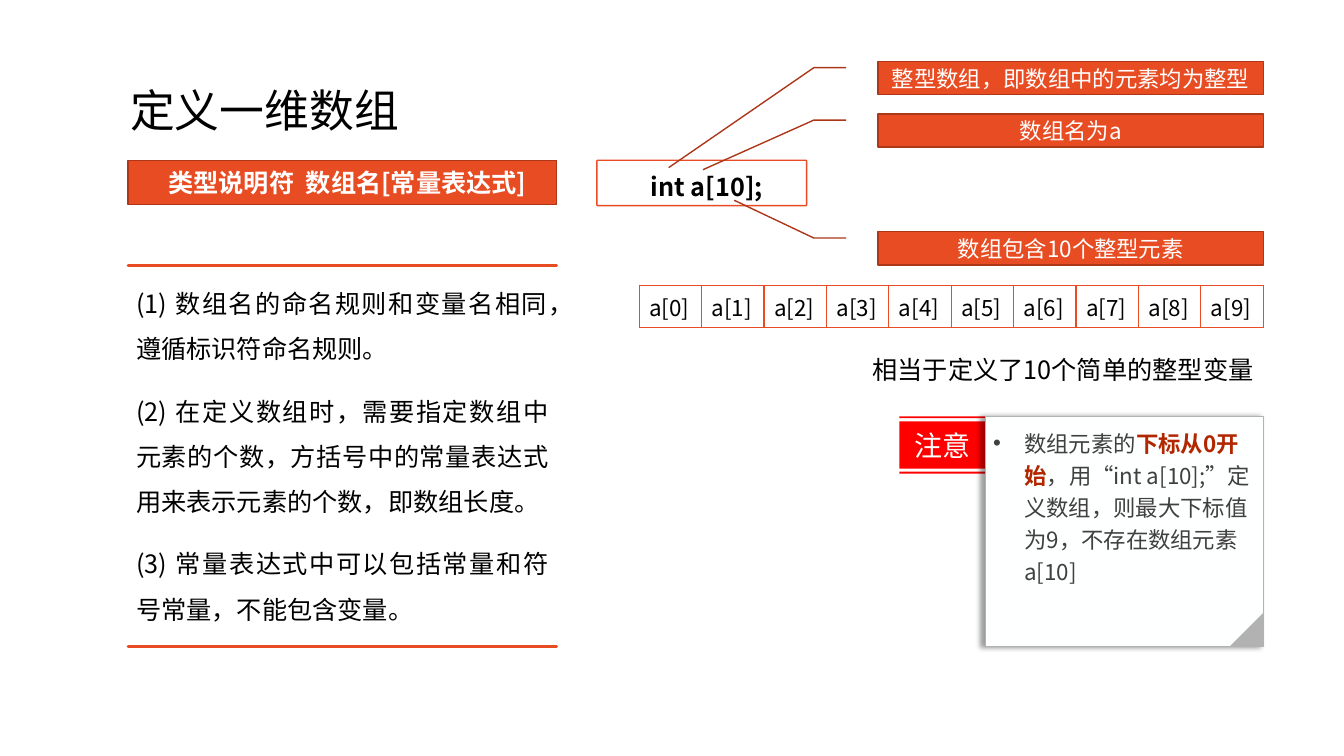
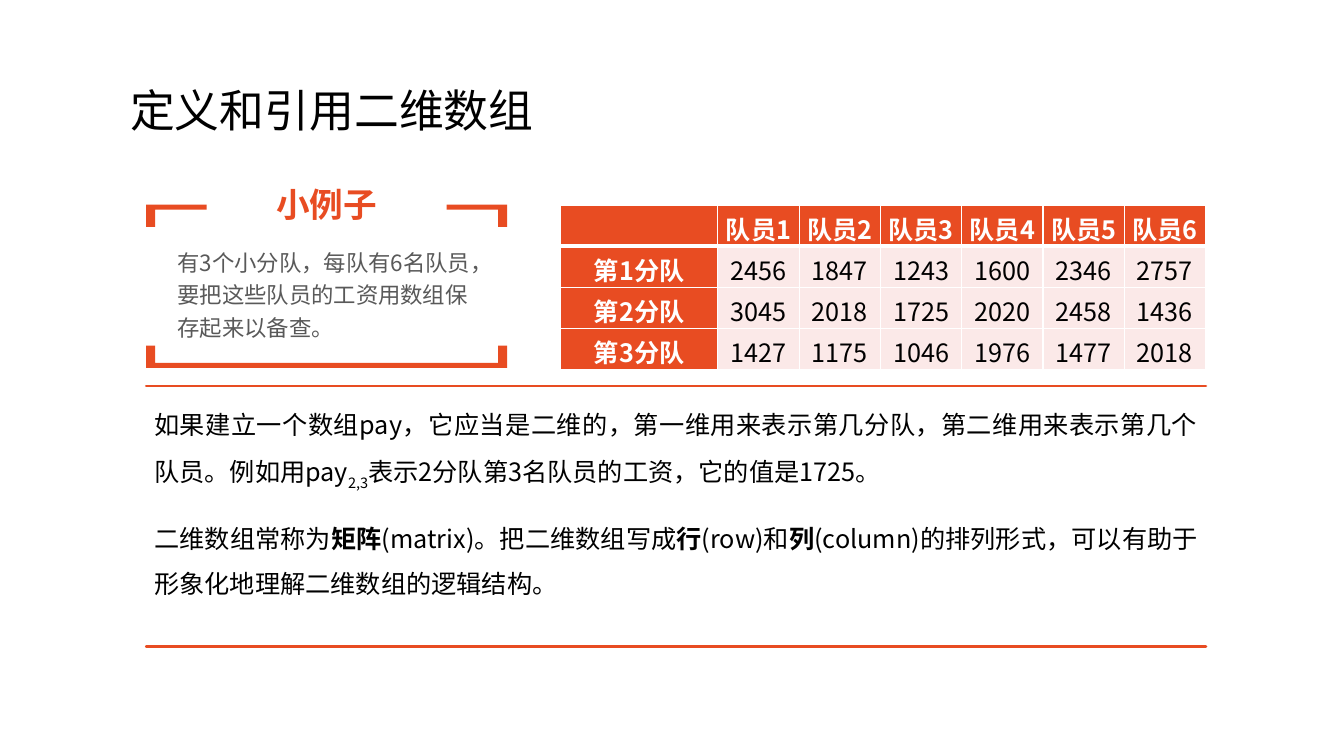
import lxml.etree
import pptx
import pptx.dml.color
import pptx.enum.shapes
import pptx.enum.text
import pptx.util
from pptx.oxml.ns import qn

Inches = pptx.util.Inches
Pt = pptx.util.Pt
SHAPE = pptx.enum.shapes.MSO_SHAPE
ALIGN = pptx.enum.text.PP_ALIGN
ANCHOR = pptx.enum.text.MSO_ANCHOR

# Shared look
FONT = "Noto Sans CJK SC"
ORANGE, RUST, PINK = "E84C22", "AC3819", "FBE9E8"
BLACK, WHITE, PAPER, GREY = "000000", "FFFFFF", "FEFFFF", "B2B2B2"
TITLE_BOX = (1.19, 0.4, 6.48, 1.45)
BOTTOM = 6.41
INSETS = (0.1, 0.05, 0.1, 0.05)
BODY_INSETS = (0.08,) * 4


def rgb(color):
    return pptx.dml.color.RGBColor.from_string(color)


def lengths(values):
    return [Inches(v) for v in values]


def child(parent, tag, **attrs):
    return lxml.etree.SubElement(parent, qn(tag), attrs)


# Text
def add_run(p, text, size, color, bold=False, baseline=None):
    r = p.add_run()
    r.text = text
    r.font.size = Pt(size)
    r.font.bold = bold
    r.font.color.rgb = rgb(color)
    r.font.name = FONT
    rPr = r._r.get_or_add_rPr()
    child(rPr, "a:ea", typeface=FONT)
    if baseline:
        rPr.set("baseline", str(baseline * 1000))


def write(tf, paragraphs, size, color, bold=False, align=ALIGN.LEFT, spacing=None,
          before=0, after=0, anchor=ANCHOR.TOP, insets=INSETS):
    """Each paragraph is a list of (text, changed run formats)."""
    tf.word_wrap = True
    tf.vertical_anchor = anchor
    tf.margin_left, tf.margin_top, tf.margin_right, tf.margin_bottom = lengths(insets)
    for i, runs in enumerate(paragraphs):
        p = tf.paragraphs[0] if i == 0 else tf.add_paragraph()
        p.alignment = align
        p.line_spacing = spacing
        p.space_before, p.space_after = Pt(before), Pt(after)
        for text, changes in runs:
            add_run(p, text, **{"size": size, "color": color, "bold": bold, **changes})


def plain(*texts):
    return [[(text, {})] for text in texts]


def add_title(s, text):
    sp = s.shapes.title
    sp.left, sp.top, sp.width, sp.height = lengths(TITLE_BOX)
    sp.text_frame.auto_size = pptx.enum.text.MSO_AUTO_SIZE.NONE
    write(sp.text_frame, plain(text), 32, BLACK, spacing=0.9, anchor=ANCHOR.MIDDLE)


# Shapes
def paint(sp, fill=None, line=None, width=1):
    sp.shadow.inherit = False
    if fill:
        sp.fill.solid()
        sp.fill.fore_color.rgb = rgb(fill)
    else:
        sp.fill.background()
    if line:
        sp.line.color.rgb = rgb(line)
        sp.line.width = Pt(width)
    else:
        sp.line.fill.background()
    return sp


def add_box(shapes, kind, box, fill, line=None, width=1, adjust=()):
    sp = shapes.add_shape(kind, *lengths(box))
    for i, value in enumerate(adjust):
        sp.adjustments[i] = value
    return paint(sp, fill, line, width)


def add_outline(shapes, contours):
    first, *others = [[tuple(lengths(pt)) for pt in c] for c in contours]
    builder = shapes.build_freeform(*first[0], scale=1.0)
    builder.add_line_segments(first[1:], close=True)
    for c in others:
        builder.move_to(*c[0])
        builder.add_line_segments(c[1:], close=True)
    return builder.convert_to_shape()


def add_ruled_text(s, box, paragraphs):
    x, y, w, h = box
    rules = [[(x, v), (x + w, v), (x, v)] for v in (y + h, y)]
    sp = paint(add_outline(s.shapes, rules), None, ORANGE, 2)
    write(sp.text_frame, paragraphs, 18, BLACK, align=ALIGN.JUSTIFY, spacing=1.5,
          before=6, after=6, insets=BODY_INSETS)


# Tables
def set_borders(cell, color, top=1, bottom=1):
    tcPr = cell._tc.get_or_add_tcPr()
    for i, (side, width) in enumerate([("L", 1), ("R", 1), ("T", top), ("B", bottom)]):
        ln = child(tcPr, "a:ln" + side, w=str(Pt(width)))
        child(child(ln, "a:solidFill"), "a:srgbClr", val=color)
        tcPr.insert(i, ln)


def add_grid(s, box, cols, rows):
    tbl = s.shapes.add_table(len(rows), len(cols), *lengths(box)).table
    tbl.first_row = tbl.horz_banding = False
    for column, width in zip(tbl.columns, cols):
        column.width = Inches(width)
    for row, height in zip(tbl.rows, rows):
        row.height = Inches(height)
    return tbl


def fill_cell(cell, text, size, color, bold=False, align=ALIGN.LEFT, side=0.1):
    cell.margin_left = cell.margin_right = Inches(side)
    cell.margin_top = cell.margin_bottom = Inches(0.05)
    p = cell.text_frame.paragraphs[0]
    p.alignment = align
    if text:
        add_run(p, text, size, color, bold)


# Slide 1 parts
def add_declaration(s, box, callout_x, callouts):
    sp = add_box(s.shapes, SHAPE.ROUNDED_RECTANGLE, box, WHITE, ORANGE, adjust=[0.018])
    write(sp.text_frame, plain("int a[10];"), 18, BLACK, True, ALIGN.CENTER, 1.2,
          insets=(0.2, 0.05, 0.1, 0.05))
    for y, text, tip_y, tip_x in callouts:
        sp = add_box(s.shapes, SHAPE.LINE_CALLOUT_2, (callout_x, y, 3.82, 0.33), ORANGE, RUST,
                     adjust=[0.188, -0.083, 0.188, -0.167, tip_y, tip_x])
        write(sp.text_frame, plain(text), 16, WHITE, align=ALIGN.CENTER, anchor=ANCHOR.MIDDLE)


def add_elements(s, box, count):
    tbl = add_grid(s, box, [box[2] / count] * count, [box[3]])
    for i in range(count):
        cell = tbl.cell(0, i)
        fill_cell(cell, f"a[{i}]", 16, BLACK)
        cell.fill.background()
        set_borders(cell, ORANGE)


def add_note(s, box, label, runs):
    x, y, w, h = box
    tab, fold = 0.85, 0.33
    shapes = s.shapes.add_group_shape().shapes
    # Red label with thin bands
    bands = [[(x, y + a), (x + tab, y + a), (x + tab, y + b), (x, y + b)]
             for a, b in [(0.55, 0.57), (0.05, 0.52), (0, 0.02)]]
    sp = paint(add_outline(shapes, bands), "FF0000")
    write(sp.text_frame, plain(label), 20, PAPER, align=ALIGN.CENTER, anchor=ANCHOR.MIDDLE)
    # Paper with shadow
    sp = add_box(shapes, SHAPE.RECTANGLE, (x + tab, y, w - tab, h), PAPER, GREY, 0.75)
    shadow = child(sp._element.spPr.find(qn("a:effectLst")), "a:outerShdw",
                   blurRad=str(Pt(4)), dist=str(Pt(3)), dir="10800000", rotWithShape="0")
    child(child(shadow, "a:srgbClr", val=BLACK), "a:alpha", val="40000")
    write(sp.text_frame, [runs], 16, "404040", spacing=1.2, after=6, insets=BODY_INSETS)
    pPr = sp.text_frame.paragraphs[0]._p.get_or_add_pPr()
    pPr.set("marL", str(Inches(0.31)))
    pPr.set("indent", str(-Inches(0.31)))
    child(pPr, "a:buFont", typeface="Arial")
    child(pPr, "a:buChar", char="•")
    # Folded corner
    corner = (x + w - fold, y + h - fold, fold, fold)
    add_box(shapes, SHAPE.RIGHT_TRIANGLE, corner, GREY).rotation = 270


def build_one_dimensional(s):
    left, right = 1.27, 12.53
    add_title(s, "定义一维数组")
    sp = add_box(s.shapes, SHAPE.RECTANGLE, (left, 1.59, 4.25, 0.44), ORANGE, RUST)
    write(sp.text_frame, plain("类型说明符  数组名[常量表达式]"), 18, WHITE, True, ALIGN.CENTER,
          anchor=ANCHOR.MIDDLE, insets=(0.2, 0.05, 0.1, 0.05))
    add_ruled_text(s, (left, 2.63, 4.25, BOTTOM - 2.63), plain(
        "(1) 数组名的命名规则和变量名相同，遵循标识符命名规则。",
        "(2) 在定义数组时，需要指定数组中元素的个数，方括号中的常量表达式用来表示元素的个数，即数组长度。",
        "(3) 常量表达式中可以包括常量和符号常量，不能包含变量。"))
    add_declaration(s, (5.92, 1.59, 2.08, 0.45), 8.71, [
        (0.61, "整型数组，即数组中的元素均为整型", 3.194, -0.544),
        (1.13, "数组名为a", 1.679, -0.455),
        (2.3, "数组包含10个整型元素", -0.949, -0.374)])
    add_elements(s, (6.34, 2.83, right - 6.34, 0.41), 10)
    sp = s.shapes.add_textbox(*lengths((right - 4, 3.47, 4, 0.4)))
    write(sp.text_frame, plain("相当于定义了10个简单的整型变量"), 18, BLACK, align=ALIGN.RIGHT)
    add_note(s, (8.92, 4.13, right - 8.92, BOTTOM - 4.13), "注意", [
        ("数组元素的", {}),
        ("下标从0开始", {"color": "B22600", "bold": True}),
        ("，用“int a[10];”定义数组，则最大下标值为9，不存在数组元素a[10]", {})])


# Slide 2 parts
def add_example(s, box, heading, text):
    x, y, w, h = box
    r, b = x + w, y + h
    thick, thin, leg, arm = 0.09, 0.05, 0.22, 0.6
    bottom = [(x, b - leg), (x + thick, b - leg), (x + thick, b - thin), (r - thick, b - thin),
              (r - thick, b - leg), (r, b - leg), (r, b), (x, b)]
    corners = [[(edge + d * dx, y + dy) for dx, dy in
                [(0, 0), (arm, 0), (arm, thin), (thick, thin), (thick, leg), (0, leg)]]
               for edge, d in [(r, -1), (x, 1)]]
    sp = paint(add_outline(s.shapes, [bottom] + corners), ORANGE)
    write(sp.text_frame, plain(text), 16, "595959", spacing=1.2, insets=(0.31, 0.39, 0.31, 0.39))
    sp = s.shapes.add_textbox(*lengths((x + 1, y - 0.29, w - 2, 0.57)))
    write(sp.text_frame, plain(heading), 24, ORANGE, True, ALIGN.CENTER,
          anchor=ANCHOR.MIDDLE, insets=(0,) * 4)


def add_pay_table(s, box, pay):
    members = len(pay[0])
    values = [[""] + [f"队员{i + 1}" for i in range(members)]]
    values += [[f"第{i + 1}分队"] + [str(v) for v in row] for i, row in enumerate(pay)]
    tbl = add_grid(s, box, [1.56] + [(box[2] - 1.56) / members] * members,
                   [0.39] + [0.41] * len(pay))
    for i, row in enumerate(values):
        for j, text in enumerate(row):
            cell = tbl.cell(i, j)
            head = i == 0 or j == 0
            fill_cell(cell, text, 18, WHITE if head else BLACK, head, ALIGN.CENTER, 0.04)
            cell.fill.solid()
            cell.fill.fore_color.rgb = rgb(ORANGE if head else PINK)
            set_borders(cell, WHITE, 3 if i == 1 else 1, 3 if i == 0 else 1)


def build_two_dimensional(s):
    left, right = 1.45, 11.96
    bold = {"bold": True}
    add_title(s, "定义和引用二维数组")
    add_example(s, (left, 2.03, 3.58, 1.62), "小例子",
                "有3个小分队，每队有6名队员，要把这些队员的工资用数组保存起来以备查。")
    add_pay_table(s, (5.56, 2.04, right - 5.56, 1.62), [
        (2456, 1847, 1243, 1600, 2346, 2757),
        (3045, 2018, 1725, 2020, 2458, 1436),
        (1427, 1175, 1046, 1976, 1477, 2018)])
    add_ruled_text(s, (left, 3.83, right - left, BOTTOM - 3.83), [
        [("如果建立一个数组pay，它应当是二维的，第一维用来表示第几分队，"
          "第二维用来表示第几个队员。例如用pay", {}),
         ("2,3", {"baseline": -25}),
         ("表示2分队第3名队员的工资，它的值是1725。", {})],
        [("二维数组常称为", {}), ("矩阵", bold), ("(matrix)。把二维数组写成", {}),
         ("行", bold), ("(row)和", {}), ("列", bold),
         ("(column)的排列形式，可以有助于形象化地理解二维数组的逻辑结构。", {})]])


prs = pptx.Presentation()
prs.slide_width, prs.slide_height = Inches(13.33), Inches(7.5)
for build in (build_one_dimensional, build_two_dimensional):
    build(prs.slides.add_slide(prs.slide_layouts[5]))
prs.save("out.pptx")
